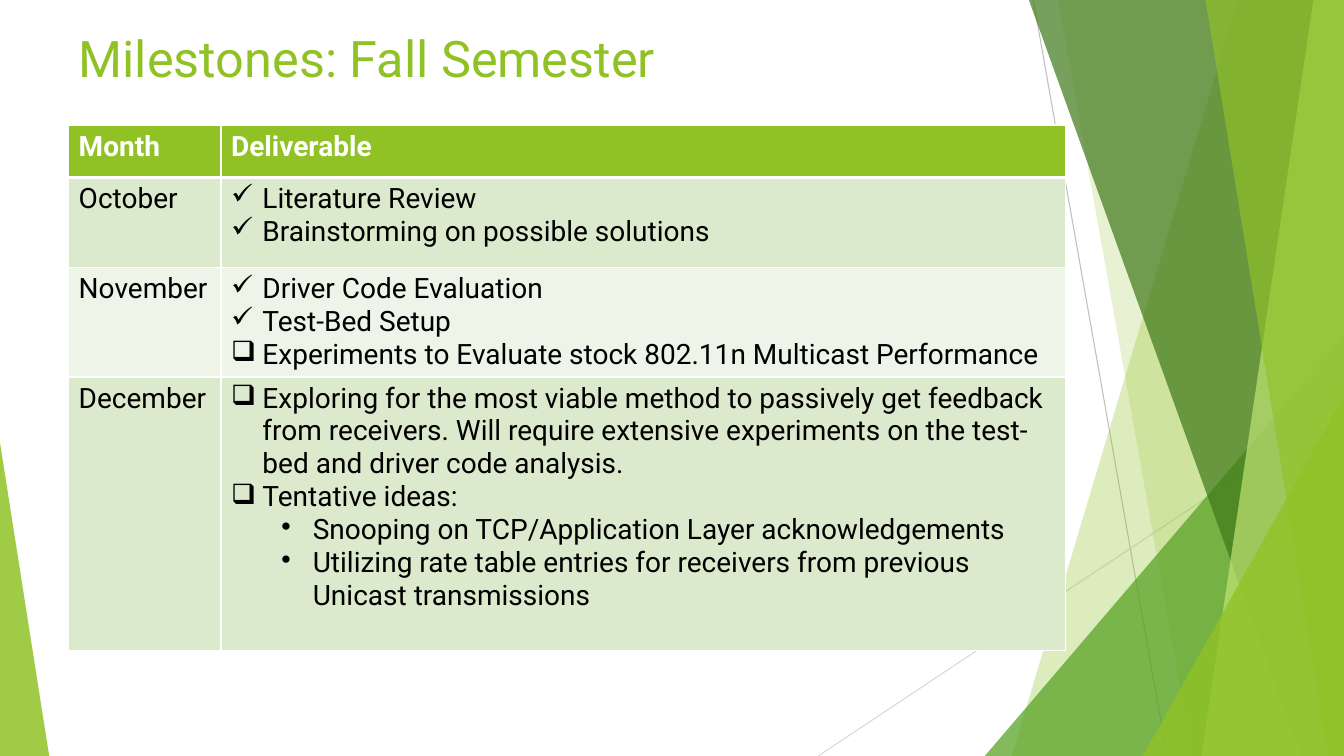
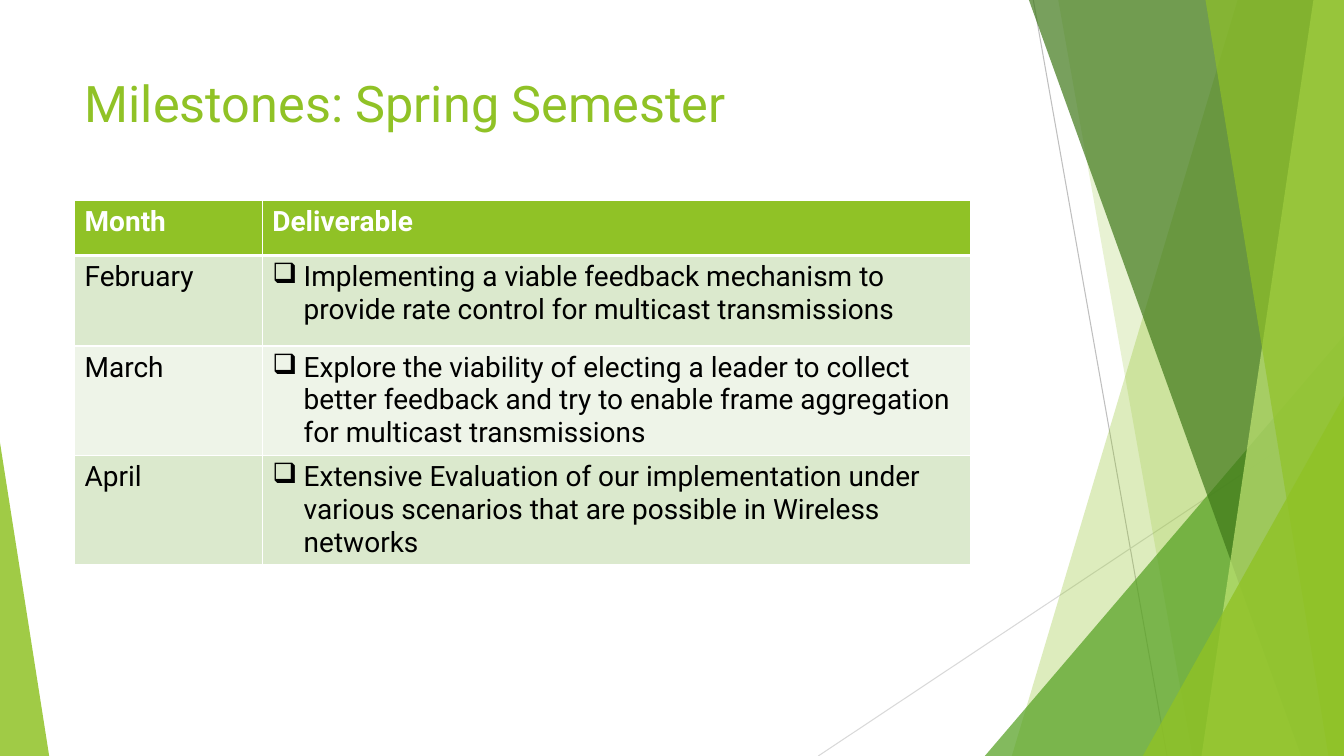
from dataclasses import dataclass
from enum import Enum

from lxml import etree
from pptx import Presentation
from pptx import slide as slides
from pptx import table as tables
from pptx.dml.color import RGBColor
from pptx.enum import shapes, text
from pptx.oxml import ns
from pptx.util import Cm, Pt

LIME = RGBColor(0x90, 0xC2, 0x26)
GREEN = RGBColor(0x54, 0xA0, 0x21)
FOREST = RGBColor(0x3F, 0x78, 0x19)
PALE_LIME = RGBColor(0xC0, 0xE4, 0x74)
SILVER = RGBColor(0xBF, 0xBF, 0xBF)
LIGHT_GRAY = RGBColor(0xD9, 0xD9, 0xD9)
WHITE = RGBColor(0xFF, 0xFF, 0xFF)
BLACK = RGBColor(0x00, 0x00, 0x00)
ROW_FILLS = (RGBColor(0xDB, 0xE9, 0xCD), RGBColor(0xEE, 0xF4, 0xE8))

FONT = "Roboto"
WIDTH, HEIGHT = 33.87, 19.05
TITLE_WIDTH, TITLE_HEIGHT = 23.88, 3.66
TITLE_ONLY = 5
FIRST_DECOR_ID = 100


class Marker(Enum):
    DONE = "✓"
    OPEN = "❑"
    DOT = "•"


@dataclass(frozen=True)
class Thread:
    start: tuple[float, float]
    end: tuple[float, float]
    color: RGBColor


@dataclass(frozen=True)
class Sheet:
    top_x: float
    bottom_x: float
    color: RGBColor
    opacity: int


@dataclass(frozen=True)
class Wedge:
    left: float
    top: float
    width: float
    apex: float
    color: RGBColor
    opacity: int


@dataclass(frozen=True)
class Item:
    marker: Marker
    words: str


@dataclass(frozen=True)
class Month:
    name: str
    height: float
    items: tuple[Item, ...]


@dataclass(frozen=True)
class Plan:
    title: str
    left: float
    title_top: float
    table_top: float
    columns: tuple[float, float]
    header_height: float
    months: tuple[Month, ...]


THREADS = (
    Thread((26.04, 0), (29.41, HEIGHT), SILVER),
    Thread((WIDTH, 10.24), (20.62, HEIGHT), LIGHT_GRAY),
)

FACETS = (
    Sheet(31.19, 25.5, LIME, 30),
    Sheet(26.67, 30.05, LIME, 20),
    Wedge(24.82, 8.46, 9.05, 1, GREEN, 72),
    Sheet(25.93, 32.79, FOREST, 70),
    Sheet(33.1, 30.28, PALE_LIME, 70),
    Sheet(30.38, 33.48, LIME, 65),
    Wedge(28.8, 9.98, 5.07, 1, LIME, 80),
    Wedge(0, 11.15, 1.24, 0, LIME, 85),
)

PLANS = (
    Plan("Milestones: Fall Semester", 1.73, 0.56, 3.15, (3.84, 21.28), 1.32, (
        Month("October", 2.28, (
            Item(Marker.DONE, "Literature Review"),
            Item(Marker.DONE, "Brainstorming on possible solutions"),
        )),
        Month("November", 2.75, (
            Item(Marker.DONE, "Driver Code Evaluation"),
            Item(Marker.DONE, "Test-Bed Setup"),
            Item(Marker.OPEN, "Experiments to Evaluate stock 802.11n Multicast Performance"),
        )),
        Month("December", 6.9, (
            Item(Marker.OPEN, "Exploring for the most viable method to passively get feedback "
                 "from receivers. Will require extensive experiments on the test-bed "
                 "and driver code analysis."),
            Item(Marker.OPEN, "Tentative ideas:"),
            Item(Marker.DOT, "Snooping on TCP/Application Layer acknowledgements"),
            Item(Marker.DOT, "Utilizing rate table entries for receivers from previous "
                 "Unicast transmissions"),
        )),
    )),
    Plan("Milestones: Spring Semester", 1.88, 1.7, 5.05, (4.73, 17.84), 1.39, (
        Month("February", 2.28, (
            Item(Marker.OPEN, "Implementing a viable feedback mechanism to provide rate "
                 "control for multicast transmissions"),
        )),
        Month("March", 2.75, (
            Item(Marker.OPEN, "Explore the viability of electing a leader to collect better "
                 "feedback and try to enable frame aggregation for multicast transmissions"),
        )),
        Month("April", 2.75, (
            Item(Marker.OPEN, "Extensive Evaluation of our implementation under various "
                 "scenarios that are possible in Wireless networks"),
        )),
    )),
)


def add_child(parent, tag: str, **attributes: str):
    return etree.SubElement(parent, ns.qn(tag), attributes)


def set_font(para, size: int, color: RGBColor, bold: bool = False) -> None:
    para.font.name = FONT
    para.font.size = Pt(size)
    para.font.bold = bold
    para.font.color.rgb = color


def draw_thread(page: slides.Slide, thread: Thread) -> None:
    line = page.shapes.add_connector(
        shapes.MSO_CONNECTOR.STRAIGHT,
        *(Cm(value) for value in thread.start + thread.end))
    line.line.color.rgb = thread.color
    line.line.width = Pt(0.75)
    add_child(line.element.spPr, "a:effectLst")


def draw_facet(page: slides.Slide, facet: Sheet | Wedge) -> None:
    if isinstance(facet, Sheet):
        outline = page.shapes.build_freeform(Cm(facet.top_x), 0)
        outline.add_line_segments([
            (Cm(WIDTH), 0), (Cm(WIDTH), Cm(HEIGHT)), (Cm(facet.bottom_x), Cm(HEIGHT))])
        shape = outline.convert_to_shape()
    else:
        shape = page.shapes.add_shape(
            shapes.MSO_SHAPE.ISOSCELES_TRIANGLE, Cm(facet.left), Cm(facet.top),
            Cm(facet.width), Cm(HEIGHT - facet.top))
        shape.adjustments[0] = facet.apex
    shape.shadow.inherit = False
    shape.line.fill.background()
    shape.fill.solid()
    shape.fill.fore_color.rgb = facet.color
    color = shape.element.spPr.find(".//" + ns.qn("a:srgbClr"))
    add_child(color, "a:alpha", val=str(facet.opacity * 1000))


def decorate_layout(page: slides.Slide) -> None:
    for thread in THREADS:
        draw_thread(page, thread)
    for facet in FACETS:
        draw_facet(page, facet)
    decor = [shape for shape in page.shapes if not shape.is_placeholder]
    for number, shape in enumerate(decor, FIRST_DECOR_ID):
        shape.element.xpath(".//p:cNvPr")[0].set("id", str(number))
        page.slide_layout.shapes.element.append(shape.element)


def draw_title(page: slides.Slide, plan: Plan) -> None:
    title = page.shapes.title
    title.left, title.top = Cm(plan.left), Cm(plan.title_top)
    title.width, title.height = Cm(TITLE_WIDTH), Cm(TITLE_HEIGHT)
    frame = title.text_frame
    frame.text = plan.title
    frame.word_wrap = True
    frame.auto_size = text.MSO_AUTO_SIZE.NONE
    frame.vertical_anchor = text.MSO_ANCHOR.TOP
    para = frame.paragraphs[0]
    para.alignment = text.PP_ALIGN.LEFT
    set_font(para, 36, LIME)


def style_cell(cell: tables._Cell, fill: RGBColor, top: float, bottom: float) -> None:
    properties = cell._tc.get_or_add_tcPr()
    for side, width in (("L", 1), ("R", 1), ("T", top), ("B", bottom)):
        border = add_child(properties, f"a:ln{side}", w=str(Pt(width)))
        add_child(add_child(border, "a:solidFill"), "a:srgbClr", val=str(WHITE))
    cell.fill.solid()
    cell.fill.fore_color.rgb = fill


def write_cell(cell: tables._Cell, words: str, color: RGBColor, bold: bool = False) -> None:
    cell.text = words
    set_font(cell.text_frame.paragraphs[0], 20, color, bold)


def write_items(cell: tables._Cell, items: tuple[Item, ...]) -> None:
    cell.text = "\n".join(item.words for item in items)
    for item, para in zip(items, cell.text_frame.paragraphs):
        nested = item.marker is Marker.DOT
        para.level = int(nested)
        properties = para._p.get_or_add_pPr()
        properties.set("marL", str(Cm(2.06 if nested else 0.79)))
        properties.set("indent", str(Cm(-0.79)))
        add_child(properties, "a:buChar", char=item.marker.value)
        set_font(para, 20, BLACK)


def draw_table(page: slides.Slide, plan: Plan) -> None:
    heights = [plan.header_height, *(month.height for month in plan.months)]
    grid = page.shapes.add_table(
        len(heights), len(plan.columns), Cm(plan.left), Cm(plan.table_top),
        Cm(sum(plan.columns)), Cm(sum(heights))).table
    for column, width in zip(grid.columns, plan.columns):
        column.width = Cm(width)
    for index, (row, height) in enumerate(zip(grid.rows, heights)):
        row.height = Cm(height)
        fill = ROW_FILLS[(index - 1) % 2] if index else LIME
        for cell in row.cells:
            style_cell(cell, fill, 3 if index == 1 else 1, 1 if index else 3)
    for cell, heading in zip(grid.rows[0].cells, ("Month", "Deliverable")):
        write_cell(cell, heading, WHITE, True)
    for index, month in enumerate(plan.months, 1):
        write_cell(grid.cell(index, 0), month.name, BLACK)
        write_items(grid.cell(index, 1), month.items)


def main() -> None:
    deck = Presentation()
    deck.slide_width, deck.slide_height = Cm(WIDTH), Cm(HEIGHT)
    layout = deck.slide_layouts[TITLE_ONLY]
    for index, plan in enumerate(PLANS):
        page = deck.slides.add_slide(layout)
        if index == 0:
            decorate_layout(page)
        draw_title(page, plan)
        draw_table(page, plan)
    deck.save("out.pptx")


if __name__ == "__main__":
    main()
